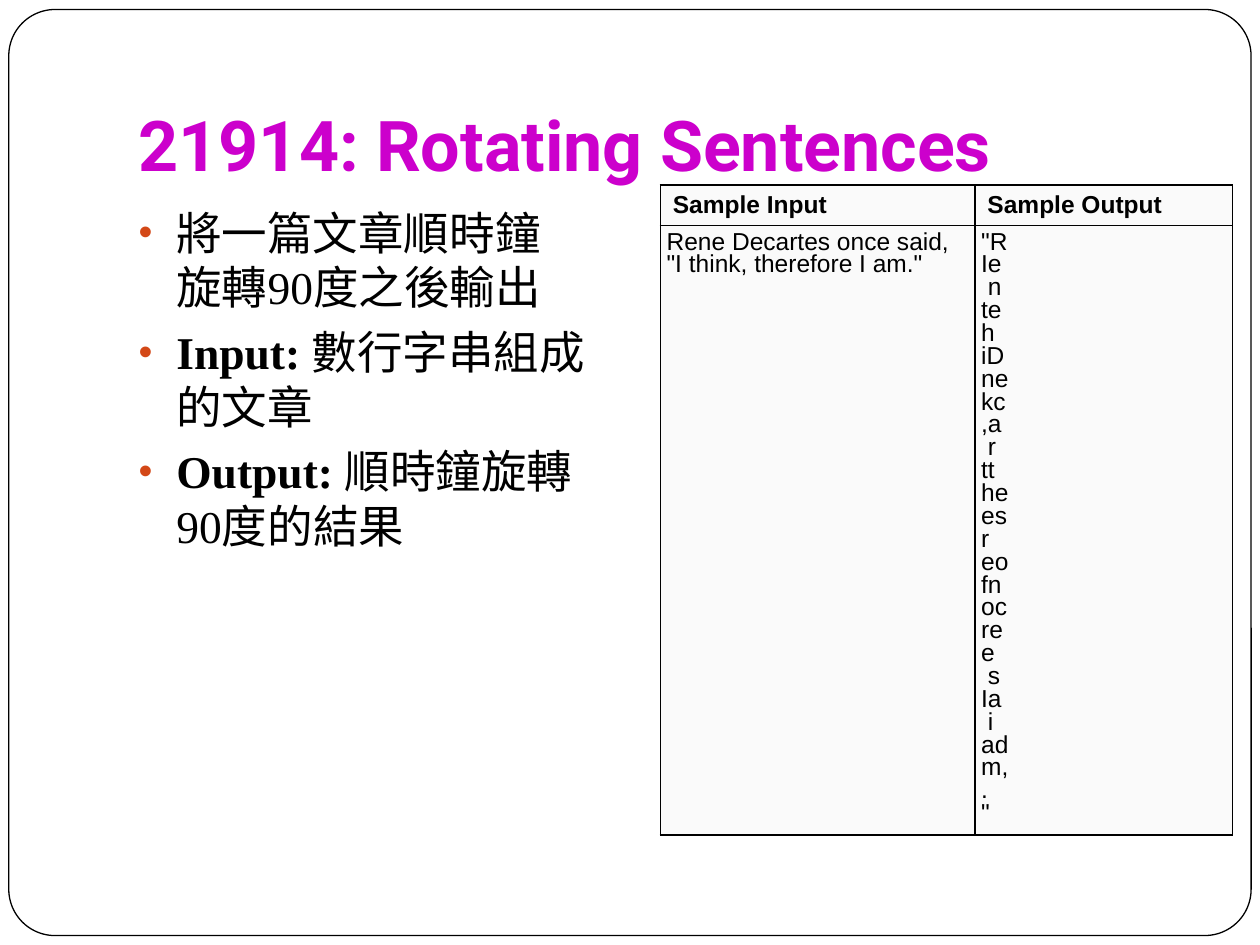
from itertools import zip_longest

from lxml import etree
from pptx import Presentation, util as u
from pptx.dml.color import RGBColor
from pptx.enum import shapes, text
from pptx.oxml.ns import qn

COLORS = {
    "paper": "FFFFFF",
    "ink": "000000",
    "title": "CC00CC",
    "bullet": "D34817",
    "cell": "FAFAFA",
}
WIDTH, HEIGHT = 10, 7.5
SENTENCES = ["Rene Decartes once said,", '"I think, therefore I am."']
POINTS = [
    ("", "將一篇文章順時鐘\n旋轉90度之後輸出"),
    ("Input: ", "數行字串組成\n的文章"),
    ("Output: ", "順時鐘旋轉\n90度的結果"),
]


def rotate(lines):
    """Turn lines of text a quarter turn clockwise."""
    columns = zip_longest(*reversed(lines), fillvalue=" ")
    return ["".join(column).rstrip() for column in columns]


def color(name):
    return RGBColor.from_string(COLORS[name])


def child(parent, tag, **attributes):
    return etree.SubElement(parent, qn(tag), attributes)


class SlideBuilder:
    """Holds the style and the current slide; boxes are shares of the slide's size."""

    def __init__(self, presentation):
        self.slide = presentation.slides.add_slide(presentation.slide_layouts[1])
        self.size = presentation.slide_width, presentation.slide_height

    def box(self, left, top, width, height):
        across, down = self.size
        return (int(left * across), int(top * down),
                int(width * across), int(height * down))

    def style(self, paragraph, name, size, ink="ink", bold=None):
        font = paragraph.font
        font.name, font.size, font.bold = name, u.Pt(size), bold
        font.color.rgb = color(ink)

    def margins(self, target, left, top, right, bottom):
        target.margin_left, target.margin_top = u.Inches(left), u.Inches(top)
        target.margin_right, target.margin_bottom = u.Inches(right), u.Inches(bottom)

    def place(self, placeholder, box, anchor, insets):
        (placeholder.left, placeholder.top,
         placeholder.width, placeholder.height) = self.box(*box)
        frame = placeholder.text_frame
        frame.word_wrap = True
        frame.auto_size = text.MSO_AUTO_SIZE.NONE
        frame.vertical_anchor = anchor
        self.margins(frame, *insets)
        return frame

    def frame(self, box):
        shape = self.slide.shapes.add_shape(
            shapes.MSO_SHAPE.ROUNDED_RECTANGLE, *self.box(*box))
        shape.adjustments[0] = 0.05
        shape.shadow.inherit = False
        shape.fill.solid()
        shape.fill.fore_color.rgb = color("paper")
        shape.line.color.rgb = color("ink")
        shape.line.width = u.Pt(0.75)
        shape.element.getparent().insert(2, shape.element)

    def title(self, box, wording):
        frame = self.place(self.slide.shapes.title, box,
                           text.MSO_ANCHOR.BOTTOM, (0.1, 0.05, 0.1, 0.1))
        paragraph = frame.paragraphs[0]
        paragraph.add_run().text = wording
        paragraph.alignment = text.PP_ALIGN.LEFT
        self.style(paragraph, "Roboto", 40, "title", True)

    def bullets(self, box, points):
        frame = self.place(self.slide.placeholders[1], box,
                           text.MSO_ANCHOR.TOP, (0.1, 0.05, 0.1, 0.05))
        for index, (label, wording) in enumerate(points):
            paragraph = frame.add_paragraph() if index else frame.paragraphs[0]
            paragraph.space_before = u.Pt(5.8 if index else 0)
            self.bullet(paragraph)
            self.style(paragraph, "Times New Roman", 26)
            if label:
                run = paragraph.add_run()
                run.text = label
                run.font.bold = True
            for number, line in enumerate(wording.split("\n")):
                if number:
                    paragraph.add_line_break()
                paragraph.add_run().text = line

    def bullet(self, paragraph):
        properties = paragraph._p.get_or_add_pPr()
        properties.set("marL", str(u.Inches(0.3)))
        properties.set("indent", str(-u.Inches(0.3)))
        child(child(properties, "a:buClr"), "a:srgbClr", val=COLORS["bullet"])
        child(properties, "a:buSzPct", val="87000")
        child(properties, "a:buFont", typeface="Arial")
        child(properties, "a:buChar", char="•")

    def table(self, box, column_shares, row_shares, samples):
        """Draw one column per sample: its heading, then its lines."""
        left, top, width, height = self.box(*box)
        table = self.slide.shapes.add_table(
            len(row_shares), len(samples), left, top, width, height).table
        for column, share in zip(table.columns, column_shares):
            column.width = int(width * share)
        for row, share in zip(table.rows, row_shares):
            row.height = int(height * share)
        for index, (heading, lines) in enumerate(samples.items()):
            header, body = table.cell(0, index), table.cell(1, index)
            self.cell(header, [heading], (0.1, 0.05, 0.3, 0.05), bold=True)
            header.vertical_anchor = text.MSO_ANCHOR.MIDDLE
            self.cell(body, lines, (0.05, 0.05, 0.1, 0.05), spacing=0.83)

    def cell(self, cell, lines, insets, bold=False, spacing=None):
        self.margins(cell, *insets)
        for index, line in enumerate(lines):
            frame = cell.text_frame
            paragraph = frame.add_paragraph() if index else frame.paragraphs[0]
            paragraph.add_run().text = line
            paragraph.line_spacing = spacing
            self.style(paragraph, "Arial", 14, bold=bold)
        properties = cell._tc.get_or_add_tcPr()
        for side in ("a:lnL", "a:lnR", "a:lnT", "a:lnB"):
            border = child(properties, side, w=str(u.Pt(1)))
            child(child(border, "a:solidFill"), "a:srgbClr", val=COLORS["ink"])
        cell.fill.solid()
        cell.fill.fore_color.rgb = color("cell")


def main():
    presentation = Presentation()
    presentation.slide_width = u.Inches(WIDTH)
    presentation.slide_height = u.Inches(HEIGHT)
    builder = SlideBuilder(presentation)
    builder.frame((0.007, 0.01, 0.986, 0.98))
    builder.title((0.1, 0.04, 0.85, 0.17), "21914: Rotating Sentences")
    builder.bullets((0.1, 0.21, 0.85, 0.67), POINTS)
    builder.table((0.524, 0.196, 0.454, 0.686), (0.55, 0.45), (0.06, 0.94), {
        "Sample Input": SENTENCES,
        "Sample Output": rotate(SENTENCES),
    })
    presentation.save("out.pptx")


if __name__ == "__main__":
    main()
